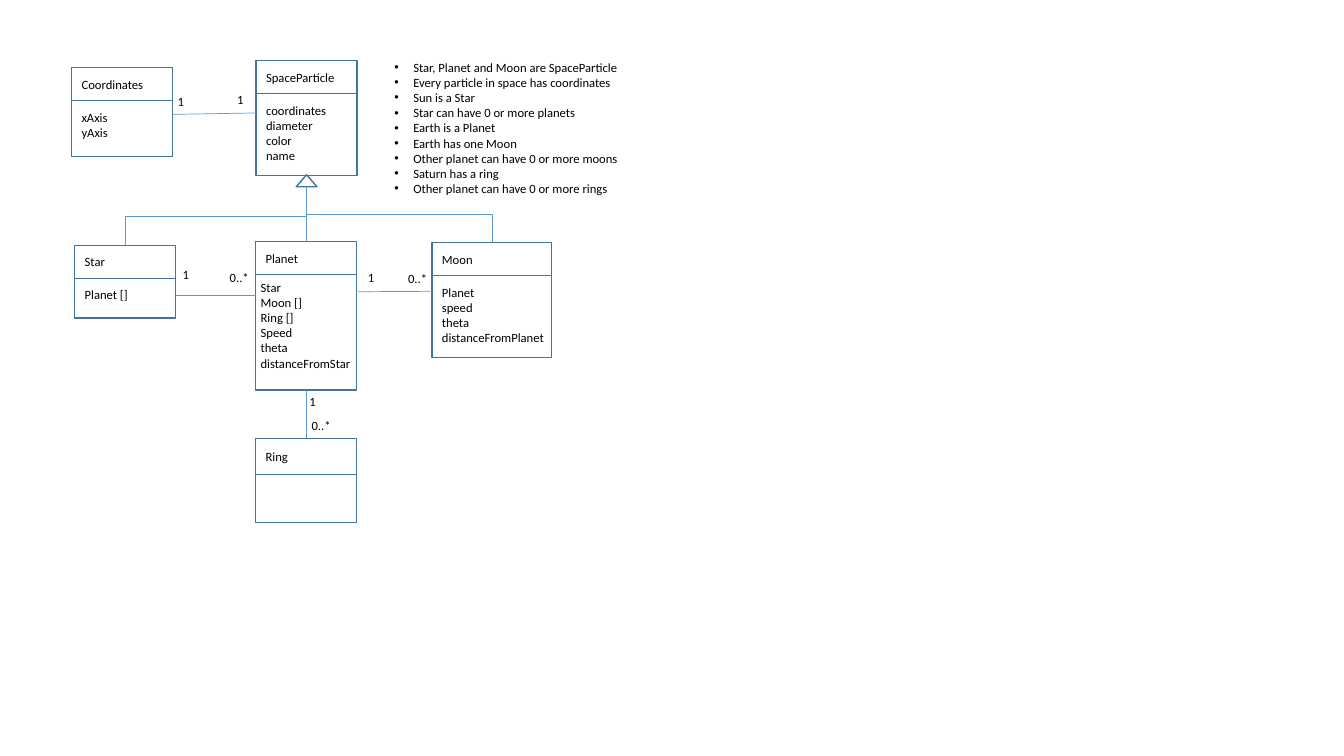
"""Build a slide with a class diagram of space particles and its rules."""
import pptx
import pptx.dml.color
import pptx.enum.shapes
import pptx.enum.text
import pptx.oxml
import pptx.util
from dataclasses import dataclass

Pt = pptx.util.Pt
Anchor = pptx.enum.text.MSO_ANCHOR
Preset = pptx.enum.shapes.MSO_SHAPE
Line = pptx.enum.shapes.MSO_CONNECTOR


@dataclass
class Theme:
    font: str = "Calibri"
    size: float = 9
    ink: str = "000000"
    outline: str = "43739E"
    link: str = "5B9BD5"
    outline_width: float = 1
    link_width: float = 0.5


theme = Theme()
color = pptx.dml.color.RGBColor.from_string


def write(shape, lines, left=7.2, top=3.6, right=0, anchor=Anchor.TOP, wrap=True):
    frame = shape.text_frame
    frame.auto_size = pptx.enum.text.MSO_AUTO_SIZE.NONE
    frame.word_wrap = wrap
    frame.vertical_anchor = anchor
    frame.margin_left, frame.margin_top = Pt(left), Pt(top)
    frame.margin_right, frame.margin_bottom = Pt(right), Pt(3.6)
    frame.text = "\n".join(lines)
    for para in frame.paragraphs:
        para.alignment = pptx.enum.text.PP_ALIGN.LEFT
        para.space_before = Pt(0)
        para.font.name = theme.font
        para.font.size = Pt(theme.size)
        para.font.color.rgb = color(theme.ink)


def add_outline(preset, left, top, width, height):
    shape = slide.shapes.add_shape(preset, Pt(left), Pt(top), Pt(width), Pt(height))
    shape.shadow.inherit = False
    shape.fill.background()
    shape.line.color.rgb = color(theme.outline)
    shape.line.width = Pt(theme.outline_width)
    return shape


deck = pptx.Presentation()
deck.slide_width, deck.slide_height = Pt(960), Pt(540)
slide = deck.slides.add_slide(deck.slide_layouts[1])
title = slide.shapes.title
title.element.getparent().remove(title.element)

rules = slide.placeholders[1]
rules.left, rules.top, rules.width, rules.height = Pt(274.5), Pt(39), Pt(179), Pt(117)
write(rules, [
    "Star, Planet and Moon are SpaceParticle",
    "Every particle in space has coordinates",
    "Sun is a Star",
    "Star can have 0 or more planets",
    "Earth is a Planet",
    "Earth has one Moon",
    "Other planet can have 0 or more moons",
    "Saturn has a ring",
    "Other planet can have 0 or more rings",
], wrap=False)
for para in rules.text_frame.paragraphs:
    properties = para._p.get_or_add_pPr()
    properties.set("marL", str(Pt(13.5)))
    properties.set("indent", str(Pt(-13.5)))

classes = [
    ("SpaceParticle", 183, 43.2, 72, 23.6, 58.8, ["coordinates", "diameter", "color", "name"]),
    ("Planet", 182.6, 172.6, 72, 23.6, 82.4,
     ["Star", "Moon []", "Ring []", "Speed", "theta", "distanceFromStar"]),
    ("Star", 53.4, 175.2, 72, 23.6, 28.4, ["Planet []"]),
    ("Moon", 308.6, 173.2, 85.5, 23.6, 58.8, ["Planet", "speed", "theta", "distanceFromPlanet"]),
    ("Coordinates", 51.2, 48.2, 72, 23.6, 40, ["xAxis", "yAxis"]),
    ("Ring", 182.6, 313.2, 72, 25.6, 34.6, []),
]
for name, left, top, width, head_height, body_height, attributes in classes:
    head = add_outline(Preset.RECTANGLE, left, top, width, head_height)
    write(head, [name], anchor=Anchor.MIDDLE)
    body = add_outline(Preset.RECTANGLE, left, top + head_height, width, body_height)
    if attributes:
        inset = (3.6, 3.6) if name == "Planet" else (7.2, 6.5)
        write(body, attributes, *inset)

add_outline(Preset.ISOSCELES_TRIANGLE, 211.6, 124.8, 14.8, 8.6)

connectors = []
parent_x, parent_y = 219, 133.4
for child_x, child_y in [(89.4, 175.2), (219, 172.6), (351.4, 173.2)]:
    across, down = child_x - parent_x, child_y - parent_y
    middle_x, middle_y = parent_x + across / 2, parent_y + down / 2
    branch = slide.shapes.add_connector(
        Line.ELBOW,
        Pt(middle_x - down / 2), Pt(middle_y + across / 2),
        Pt(middle_x + down / 2), Pt(middle_y - across / 2))
    branch._element.spPr.xfrm.set("rot", str(90 * 60000))
    connectors.append(branch)

associations = [
    (123.2, 81.7, 183, 80.7),
    (182.6, 211.3, 125.4, 211.3),
    (308.6, 208.1, 255.4, 208.4),
    (219, 313.2, 219, 278.6),
]
for ends in associations:
    connectors.append(slide.shapes.add_connector(Line.STRAIGHT, *map(Pt, ends)))
for connector in connectors:
    connector.line.color.rgb = color(theme.link)
    connector.line.width = Pt(theme.link_width)
    connector._element.spPr.append(pptx.oxml.parse_xml(
        '<a:effectLst xmlns:a="http://schemas.openxmlformats.org/drawingml/2006/main"/>'))

multiplicities = [
    ("1", 119.8, 63.4), ("1", 162.3, 62),
    ("1", 123.4, 187.4), ("0..*", 157, 189.2),
    ("1", 255.8, 189.6), ("0..*", 284.4, 190),
    ("1", 214, 277.6), ("0..*", 215.5, 295.2),
]
for text, left, top in multiplicities:
    width = 19.4 if text == "1" else 28
    label = slide.shapes.add_textbox(Pt(left), Pt(top), Pt(width), Pt(18.2))
    write(label, [text], right=7.2, wrap=False)

deck.save("out.pptx")
